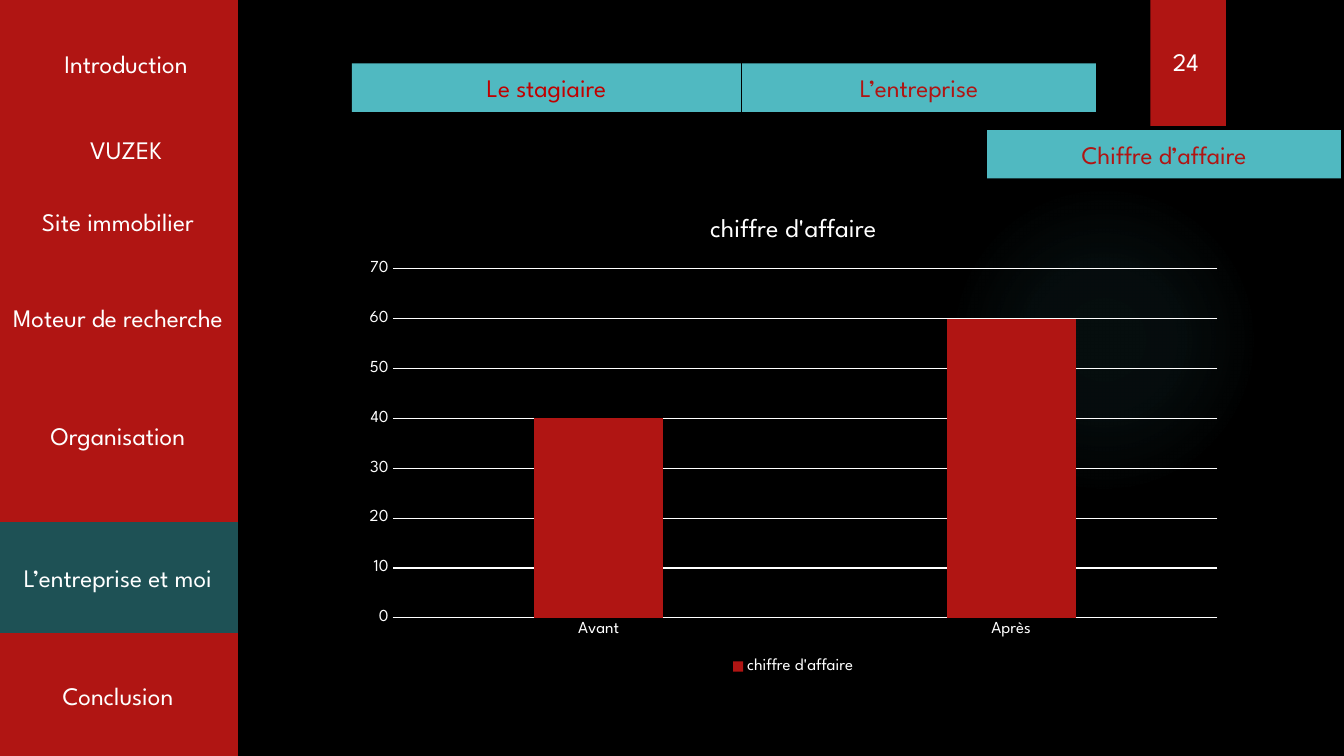
from dataclasses import dataclass

from pptx import Presentation
from pptx import util as u
from pptx.chart.data import CategoryChartData
from pptx.dml.color import RGBColor
from pptx.enum import chart as charts, shapes, text
from pptx.oxml import parse_xml
from pptx.oxml.ns import nsdecls


@dataclass(frozen=True)
class Theme:
    """Colours, font and type sizes of the slide."""
    background: str = "000000"
    red: str = "B01513"
    bright_red: str = "C00000"
    teal: str = "50B9C1"
    dark_teal: str = "1E5155"
    white: str = "FFFFFF"
    font: str = "League Spartan"
    body: float = 18
    chart_title: float = 18.6
    axis: float = 12


THEME = Theme()


def colour(code):
    """Return the colour for a hexadecimal code."""
    return RGBColor.from_string(code)


def format_font(font, size=THEME.body, code=THEME.white):
    """Give a font the theme typeface, a size and a colour."""
    font.name = THEME.font
    font.size = u.Pt(size)
    font.bold = False
    font.color.rgb = colour(code)


def add_panel(slide, box, fill=None, kind=shapes.MSO_SHAPE.RECTANGLE):
    """Add a borderless shape, filled when a colour is given."""
    shape = slide.shapes.add_shape(kind, *map(u.Inches, box))
    shape.shadow.inherit = False
    shape.line.fill.background()
    if fill:
        shape.fill.solid()
        shape.fill.fore_color.rgb = colour(fill)
    else:
        shape.fill.background()
    return shape


def write(shape, words, code=THEME.white, wrap=True):
    """Write one centred line of text in a shape."""
    frame = shape.text_frame
    frame.word_wrap = wrap
    frame.vertical_anchor = text.MSO_ANCHOR.MIDDLE
    paragraph = frame.paragraphs[0]
    paragraph.alignment = text.PP_ALIGN.CENTER
    run = paragraph.add_run()
    run.text = words
    format_font(run.font, code=code)


def add_glow(slide, box):
    """Add a faint circular glow that fades towards its edge."""
    shape = add_panel(slide, box, kind=shapes.MSO_SHAPE.OVAL)
    stops = "".join(
        f'<a:gs pos="{position}000"><a:srgbClr val="{THEME.teal}">'
        f'<a:alpha val="{opacity}000"/></a:srgbClr></a:gs>'
        for position, opacity in ((0, 7), (36, 6), (69, 0)))
    gradient = parse_xml(
        f'<a:gradFill {nsdecls("a")}><a:gsLst>{stops}</a:gsLst>'
        '<a:path path="circle"><a:fillToRect l="50000" t="50000" '
        'r="50000" b="50000"/></a:path></a:gradFill>')
    properties = shape.element.spPr
    properties.replace(properties.find("{*}noFill"), gradient)


def add_page_marker(slide, box, number):
    """Add the hanging ribbon with the page number."""
    left, top, width, height = box
    add_panel(slide, box, THEME.red)
    label = slide.shapes.add_textbox(
        *map(u.Inches, (left + 0.11, top + 0.41, 0.48, 0.4)))
    write(label, number, wrap=False)


def add_navigation(slide, box, sections, current):
    """Add the side bar with its section names, the current one highlighted."""
    left, top, width, height = box
    add_panel(slide, box, THEME.red)
    for name, offset, label_width, label_height in sections:
        fill = THEME.dark_teal if name == current else None
        label = add_panel(
            slide, (left, top + offset, label_width, label_height), fill)
        write(label, name)


def add_tab(slide, box, words, code=THEME.red):
    """Add a teal tab with its caption."""
    write(add_panel(slide, box, THEME.teal), words, code)


def add_revenue_chart(slide, box, name, values):
    """Add the column chart comparing revenue before and after."""
    data = CategoryChartData()
    data.categories = list(values)
    data.add_series(name, list(values.values()))
    chart = slide.shapes.add_chart(
        charts.XL_CHART_TYPE.COLUMN_CLUSTERED, *map(u.Inches, box), data).chart
    format_font(chart.font, THEME.axis)

    chart.has_title = True
    chart.chart_title.include_in_layout = False
    title_run = chart.chart_title.text_frame.paragraphs[0].add_run()
    title_run.text = name
    format_font(title_run.font, THEME.chart_title)

    chart.has_legend = True
    chart.legend.position = charts.XL_LEGEND_POSITION.BOTTOM
    chart.legend.include_in_layout = False
    format_font(chart.legend.font, THEME.axis)

    for axis in (chart.category_axis, chart.value_axis):
        axis.major_tick_mark = charts.XL_TICK_MARK.NONE
        axis.minor_tick_mark = charts.XL_TICK_MARK.NONE
        format_font(axis.tick_labels.font, THEME.axis)
    value_axis = chart.value_axis
    value_axis.minimum_scale, value_axis.maximum_scale = 0, 70
    value_axis.major_unit = 10
    value_axis.format.line.fill.background()
    value_axis.has_major_gridlines = True
    for line in (chart.category_axis.format.line,
                 value_axis.major_gridlines.format.line):
        line.color.rgb = colour(THEME.white)
        line.width = u.Pt(0.75)

    plot = chart.plots[0]
    plot.gap_width, plot.overlap = 219, -27
    plot.vary_by_categories = False
    columns = plot.series[0]
    columns.format.fill.solid()
    columns.format.fill.fore_color.rgb = colour(THEME.red)


def add_revenue_slide(presentation):
    """Add the slide on the company's revenue."""
    slide = presentation.slides.add_slide(presentation.slide_layouts[6])
    slide.background.fill.solid()
    slide.background.fill.fore_color.rgb = colour(THEME.background)
    add_glow(slide, (9.41, 1.83, 3.08, 3.08))
    add_page_marker(slide, (11.41, 0, 0.75, 1.25), "24")
    sections = (
        ("Introduction", -0.02, 2.54, 1.3),
        ("VUZEK", 1.12, 2.54, 0.72),
        ("Site immobilier", 1.64, 2.38, 1.11),
        ("Moteur de recherche", 2.59, 2.38, 1.11),
        ("Organisation", 3.79, 2.38, 1.06),
        ("L’entreprise et moi", 5.18, 2.38, 1.1),
        ("Conclusion", 6.29, 2.38, 1.21),
    )
    add_navigation(slide, (-0.02, 0, 2.38, 7.5), sections, "L’entreprise et moi")
    add_tab(slide, (3.49, 0.63, 3.86, 0.48), "Le stagiaire", THEME.bright_red)
    add_tab(slide, (7.36, 0.63, 3.51, 0.48), "L’entreprise")
    add_tab(slide, (9.79, 1.29, 3.51, 0.48), "Chiffre d’affaire")
    add_revenue_chart(slide, (3.49, 1.94, 8.76, 4.79), "chiffre d'affaire",
                      {"Avant": 40, "Après": 60})


def main():
    """Build and save the presentation."""
    presentation = Presentation()
    presentation.slide_width = u.Inches(13.33)
    presentation.slide_height = u.Inches(7.5)
    add_revenue_slide(presentation)
    presentation.save("out.pptx")


if __name__ == "__main__":
    main()
